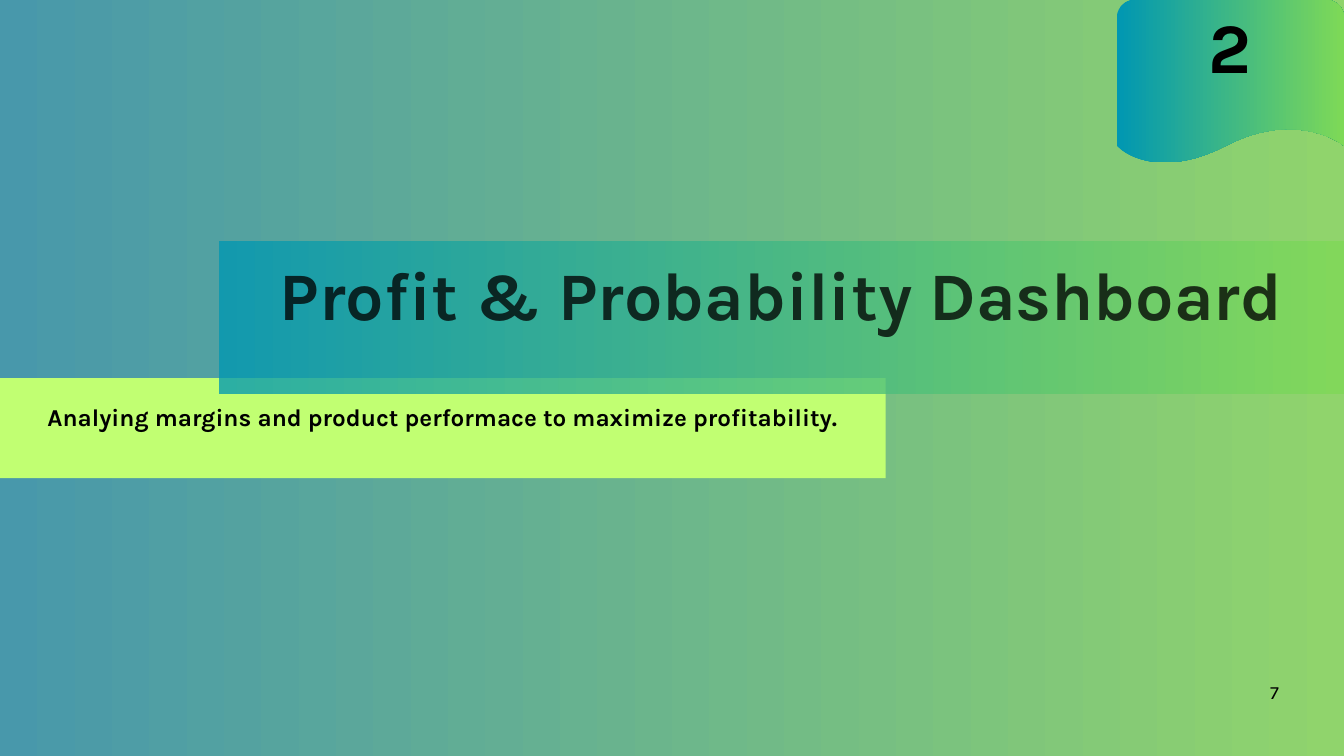
from lxml.etree import SubElement
from pptx import Presentation
from pptx.dml.color import RGBColor
from pptx.enum.shapes import MSO_SHAPE
from pptx.enum.text import MSO_ANCHOR, MSO_AUTO_SIZE, PP_ALIGN
from pptx.oxml.ns import qn
from pptx.util import Inches, Pt

WIDTH, HEIGHT = 20, 11.25
BLACK = RGBColor(0x00, 0x00, 0x00)
LIME = RGBColor(0xC1, 0xFF, 0x72)
TEAL = RGBColor(0x00, 0x97, 0xB2)
GREEN = RGBColor(0x7E, 0xD9, 0x57)
PAGE_BLUE = RGBColor(0x48, 0x98, 0xAB)
PAGE_GREEN = RGBColor(0x90, 0xD4, 0x6C)
BAND_OPACITY = 76
CURVE_STEPS = 16


def set_gradient(fill, start, end):
    fill.gradient()
    fill.gradient_angle = 0
    for stop, color in zip(fill.gradient_stops, (start, end)):
        stop.color.rgb = color


def set_opacity(element, percent):
    for color in element.iter(qn("a:srgbClr")):
        SubElement(color, qn("a:alpha")).set("val", str(percent * 1000))


def place(shape, box):
    shape.left, shape.top, shape.width, shape.height = map(Inches, box)


def write_text(shape, text, *, size, leading, bold=True, margin=0.06,
               anchor=MSO_ANCHOR.MIDDLE, wrap=True):
    frame = shape.text_frame
    frame.auto_size = MSO_AUTO_SIZE.NONE
    frame.word_wrap = wrap
    frame.vertical_anchor = anchor
    frame.margin_left = frame.margin_right = Inches(margin)
    frame.margin_top = frame.margin_bottom = Inches(margin)
    para = frame.paragraphs[0]
    para.alignment = PP_ALIGN.CENTER
    para.line_spacing = Pt(leading)
    para.space_before = Pt(0)
    span = para.add_run()
    span.text = text
    span.font.name = "Karla"
    span.font.size = Pt(size)
    span.font.bold = bold
    span.font.color.rgb = BLACK


def add_label(page, box, text, **style):
    label = page.shapes.add_textbox(*map(Inches, box))
    write_text(label, text, **style)


def add_band(page, box):
    band = page.shapes.add_shape(MSO_SHAPE.RECTANGLE, *map(Inches, box))
    band.shadow.inherit = False
    band.line.fill.background()
    return band


def add_subtitle(page, box, text):
    left, top, width, height = box
    band = add_band(page, box)
    band.fill.solid()
    band.fill.fore_color.rgb = LIME
    add_label(page, (left, top - 0.4, width, height + 0.4), text,
              size=26, leading=36.4)


def add_title(page, box, text):
    left, top, width, height = box
    band = add_band(page, box)
    set_gradient(band.fill, TEAL, GREEN)
    set_opacity(band.element, BAND_OPACITY)
    title = page.shapes.title
    place(title, (left, top - 0.93, width, height + 0.93))
    write_text(title, text, size=72.8, leading=101.9)
    set_opacity(title.element, BAND_OPACITY)
    band.element.addnext(title.element)


def bezier(*points):
    curve = []
    for step in range(CURVE_STEPS + 1):
        t = step / CURVE_STEPS
        weights = ((1 - t) ** 3, 3 * t * (1 - t) ** 2, 3 * t * t * (1 - t), t ** 3)
        curve.append(tuple(sum(w * point[axis] for w, point in zip(weights, points))
                           for axis in (0, 1)))
    return curve


def add_section_tag(page, box, text):
    left, top, width, height = box
    corner, bend = 0.26, 0.12
    edge, middle = 0.9 * height, width * 0.48
    outline = (
        bezier((corner, 0), (bend, 0), (0, bend), (0, corner))
        + bezier((0, edge), (0.18, edge + 0.19), (0.76, edge + 0.45), (middle, edge))
        + bezier((middle, edge), (2.48, edge - 0.45), (3.15, edge - 0.18), (width, edge))
        + bezier((width, corner), (width, bend), (width - bend, 0), (width - corner, 0))
    )
    points = [(Inches(left + x), Inches(top + y)) for x, y in outline]
    builder = page.shapes.build_freeform(*points[0])
    builder.add_line_segments(points[1:], close=True)
    tag = builder.convert_to_shape()
    tag.shadow.inherit = False
    tag.line.fill.background()
    set_gradient(tag.fill, TEAL, GREEN)
    add_label(page, (left, top - 0.77, width, height + 0.26), text,
              size=76, leading=106.4)


def main():
    deck = Presentation()
    deck.slide_width, deck.slide_height = Inches(WIDTH), Inches(HEIGHT)
    page = deck.slides.add_slide(deck.slide_layouts[5])
    set_gradient(page.background.fill, PAGE_BLUE, PAGE_GREEN)

    add_subtitle(page, (0, HEIGHT / 2, 13.18, 1.49),
                 "Analying margins and product performace to maximize profitability.")
    add_title(page, (3.26, 3.59, WIDTH - 3.26, 2.27), "Profit & Probability Dashboard")
    add_section_tag(page, (WIDTH - 3.38, 0, 3.38, 2.41), "2")
    add_label(page, (18.88, 10.07, 0.17, 0.22), "7", size=20, leading=28, bold=False,
              margin=0, anchor=MSO_ANCHOR.TOP, wrap=False)
    deck.save("out.pptx")


if __name__ == "__main__":
    main()
